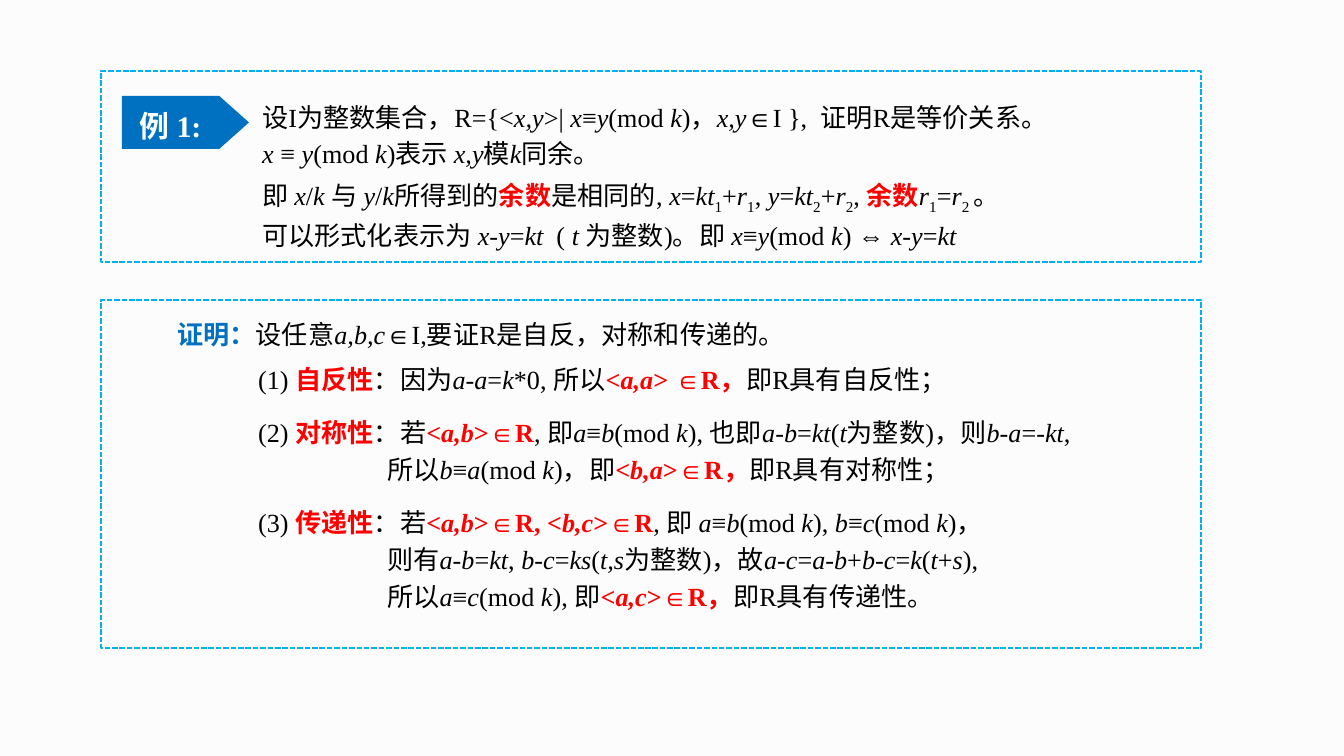
from pptx import Presentation
from pptx.dml.color import RGBColor
from pptx.enum.dml import MSO_LINE
from pptx.enum.shapes import MSO_SHAPE
from pptx.enum.text import MSO_ANCHOR, MSO_AUTO_SIZE, PP_ALIGN
from pptx.util import Emu, Pt

PX_PER_INCH = 134.4
FONT = "Times New Roman"
BLACK = RGBColor(0, 0, 0)
WHITE = RGBColor(255, 255, 255)
RED = RGBColor(255, 0, 0)
BLUE = RGBColor(0, 0x70, 0xC0)
SKY = RGBColor(0, 0xB0, 0xF0)
PAPER = RGBColor(0xFC, 0xFC, 0xFC)

ITALIC, SUBSCRIPT, KEYWORD, HEADING = "_", "~", "^", "#"
MARKS = ITALIC + SUBSCRIPT + KEYWORD + HEADING
CONTINUATION = 129

PROBLEM = [
    "设I为整数集合，R={<_x,y_>| _x_≡_y_(mod _k_)，_x,y_∈I },  证明R是等价关系。",
    "_x _≡ _y_(mod _k_)表示 _x,y_模_k_同余。",
]
MEANING = [
    "即 _x_/_k _与 _y_/_k_所得到的^余数^是相同的, _x_=_kt_~1~+_r_~1~, "
    "_y_=_kt_~2~+_r_~2~, ^余数^_r_~1~=_r_~2 ~。",
    "可以形式化表示为 _x_-_y_=_kt_  ( _t _为整数)。即 _x_≡_y_(mod _k_) ⇔ _x_-_y_=_kt_",
]
CLAIM = ["#证明：#设任意_a,b,c_∈I,要证R是自反，对称和传递的。"]
REFLEXIVE = ["(1) ^自反性^：因为_a_-_a_=_k_*0, 所以^<_a,a_> ∈R，^即R具有自反性；"]
SYMMETRIC = [
    "(2) ^对称性^：若^<_a,b_>∈R^, 即_a_≡_b_(mod _k_), 也即_a_-_b_=_kt_(_t_为整数)，则_b-a_=-_kt_,",
    "所以_b_≡_a_(mod _k_)，即^<_b,a_>∈R，^即R具有对称性；",
]
TRANSITIVE = [
    "(3) ^传递性^：若^<_a,b_>∈R, <_b,c_>∈R^, 即 _a_≡_b_(mod _k_), _b_≡_c_(mod _k_)，",
    "则有_a_-_b_=_kt_, _b_-_c_=_ks_(_t,s_为整数)，故_a_-_c_=_a_-_b_+_b_-_c_=_k_(_t_+_s_),",
    "所以_a_≡_c_(mod_ k_), 即^<_a,c_>∈R，^即R具有传递性。",
]


def px(n):
    return Emu(round(n * 914400 / PX_PER_INCH))


def add_run(p, text, size, color, bold=False, italic=False):
    r = p.add_run()
    r.text = text
    r.font.name = FONT
    r.font.size = Pt(size)
    r.font.color.rgb = color
    r.font.bold = bold
    r.font.italic = italic
    return r


def add_marked_runs(p, line):
    active, text = set(), ""

    def flush():
        if not text:
            return
        color = RED if KEYWORD in active else BLUE if HEADING in active else BLACK
        r = add_run(p, text, 14, color, color != BLACK, ITALIC in active)
        if SUBSCRIPT in active:
            r._r.get_or_add_rPr().set("baseline", "-25000")

    for char in line:
        if char in MARKS:
            flush()
            text = ""
            active ^= {char}
        else:
            text += char
    flush()


def add_text(s, x, y, w, h, lines, spacing=None, before=0, indent=0):
    tf = s.shapes.add_textbox(px(x), px(y), px(w), px(h)).text_frame
    tf.word_wrap = True
    tf.auto_size = MSO_AUTO_SIZE.SHAPE_TO_FIT_TEXT
    for i, line in enumerate(lines):
        p = tf.paragraphs[0] if i == 0 else tf.add_paragraph()
        if spacing:
            p.line_spacing = Pt(spacing)
        if i and before:
            p.space_before = Pt(before)
        if i and indent:
            p._p.get_or_add_pPr().set("marL", str(px(indent)))
        add_marked_runs(p, line)


def add_frame(s, x, y, w, h):
    sp = s.shapes.add_shape(MSO_SHAPE.RECTANGLE, px(x), px(y), px(w), px(h))
    sp.shadow.inherit = False
    sp.fill.background()
    sp.line.color.rgb = SKY
    sp.line.width = Pt(1)
    sp.line.dash_style = MSO_LINE.SQUARE_DOT


def add_flag(s, x, y, w, h, text):
    sp = s.shapes.add_shape(MSO_SHAPE.PENTAGON, px(x), px(y), px(w), px(h))
    sp.adjustments[0] = 0.56
    sp.shadow.inherit = False
    sp.fill.solid()
    sp.fill.fore_color.rgb = BLUE
    sp.line.fill.background()
    tf = sp.text_frame
    tf.margin_right = px(28)
    tf.word_wrap = False
    tf.vertical_anchor = MSO_ANCHOR.MIDDLE
    p = tf.paragraphs[0]
    p.alignment = PP_ALIGN.CENTER
    p.line_spacing = 1.2
    add_run(p, text, 16, WHITE, bold=True)


def main():
    prs = Presentation()
    prs.slide_width, prs.slide_height = px(1344), px(756)
    s = prs.slides.add_slide(prs.slide_layouts[6])
    s.background.fill.solid()
    s.background.fill.fore_color.rgb = PAPER

    add_flag(s, 122, 96, 127, 53, "例 1:")
    add_frame(s, 101, 71, 1100, 191)
    add_frame(s, 101, 300, 1100, 348)

    add_text(s, 249, 91, 910, 85, PROBLEM, spacing=19)
    add_text(s, 249, 173, 931, 85, MEANING, spacing=19)
    add_text(s, 164, 312, 910, 46, CLAIM)
    steps = [(357, 46, REFLEXIVE), (410, 83, SYMMETRIC), (500, 121, TRANSITIVE)]
    for y, h, lines in steps:
        add_text(s, 245, y, 910, h, lines, before=3, indent=CONTINUATION)

    prs.save("out.pptx")


if __name__ == "__main__":
    main()
